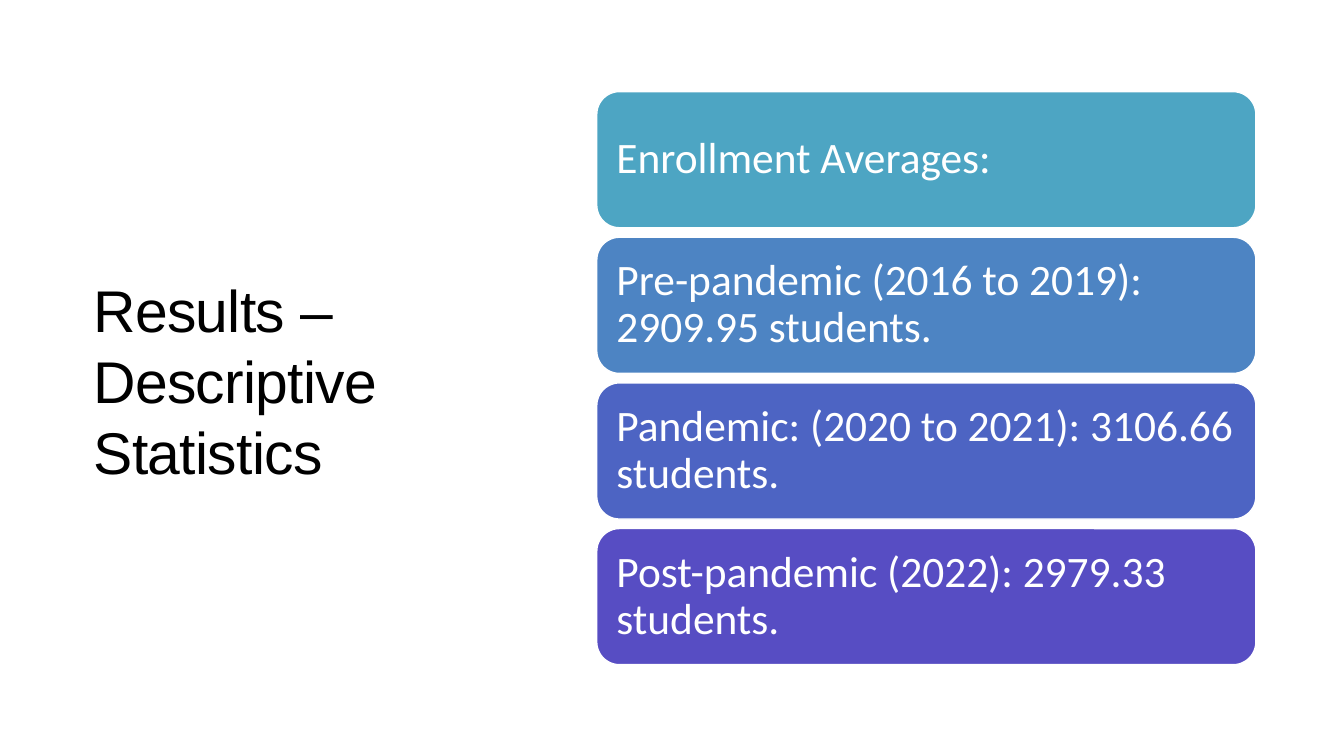
from pptx import Presentation
from pptx.dml.color import RGBColor
from pptx.enum.shapes import MSO_SHAPE
from pptx.enum.text import MSO_ANCHOR, PP_ALIGN
from pptx.util import Cm, Pt

TITLE = "Results – Descriptive Statistics"
AVERAGES = [
    ("Enrollment Averages:", "4DA5C3"),
    ("Pre-pandemic (2016 to 2019): 2909.95 students.", "4D84C3"),
    ("Pandemic: (2020 to 2021): 3106.66 students.", "4D64C3"),
    ("Post-pandemic (2022): 2979.33 students.", "574DC3"),
]
TITLE_FONT = {"name": "Arial", "size": Pt(42)}
CARD_FONT = {"name": "Calibri", "size": Pt(31)}

CARD_LEFT, CARD_TOP = 15.04, 2.31
CARD_WIDTH, CARD_HEIGHT = 16.61, 3.43
CARD_PITCH = 3.67


def color(hex_code):
    return RGBColor.from_string(hex_code)


def write(shape, text, font, font_color, line_spacing, side, edge):
    """Put one left-aligned, vertically centred paragraph into a shape."""
    frame = shape.text_frame
    layout = {
        "word_wrap": True,
        "vertical_anchor": MSO_ANCHOR.MIDDLE,
        "margin_left": Cm(side),
        "margin_right": Cm(side),
        "margin_top": Cm(edge),
        "margin_bottom": Cm(edge),
    }
    for name, value in layout.items():
        setattr(frame, name, value)
    para = frame.paragraphs[0]
    para.alignment = PP_ALIGN.LEFT
    para.line_spacing = line_spacing
    span = para.add_run()
    span.text = text
    for name, value in font.items():
        setattr(span.font, name, value)
    span.font.color.rgb = color(font_color)
    return span


def main():
    deck = Presentation()
    deck.slide_width, deck.slide_height = Cm(33.87), Cm(19.05)
    page = deck.slides.add_slide(deck.slide_layouts[6])

    box = page.shapes.add_textbox(Cm(2.11), Cm(2.16), Cm(10.85), Cm(14.83))
    span = write(box, TITLE, TITLE_FONT, "000000", 1.0, 0.25, 0.13)
    span.font._element.set("spc", "-50")

    for index, (text, fill) in enumerate(AVERAGES):
        card = page.shapes.add_shape(
            MSO_SHAPE.ROUNDED_RECTANGLE,
            Cm(CARD_LEFT), Cm(CARD_TOP + index * CARD_PITCH),
            Cm(CARD_WIDTH), Cm(CARD_HEIGHT),
        )
        card.shadow.inherit = False
        card.fill.solid()
        card.fill.fore_color.rgb = color(fill)
        card.line.color.rgb = color("FFFFFF")
        card.line.width = Pt(1)
        # The rounded corners add about 0.17 cm of inset on every side.
        write(card, text, CARD_FONT, "FFFFFF", 0.9, 0.33, 0.33)

    deck.save("out.pptx")


if __name__ == "__main__":
    main()
